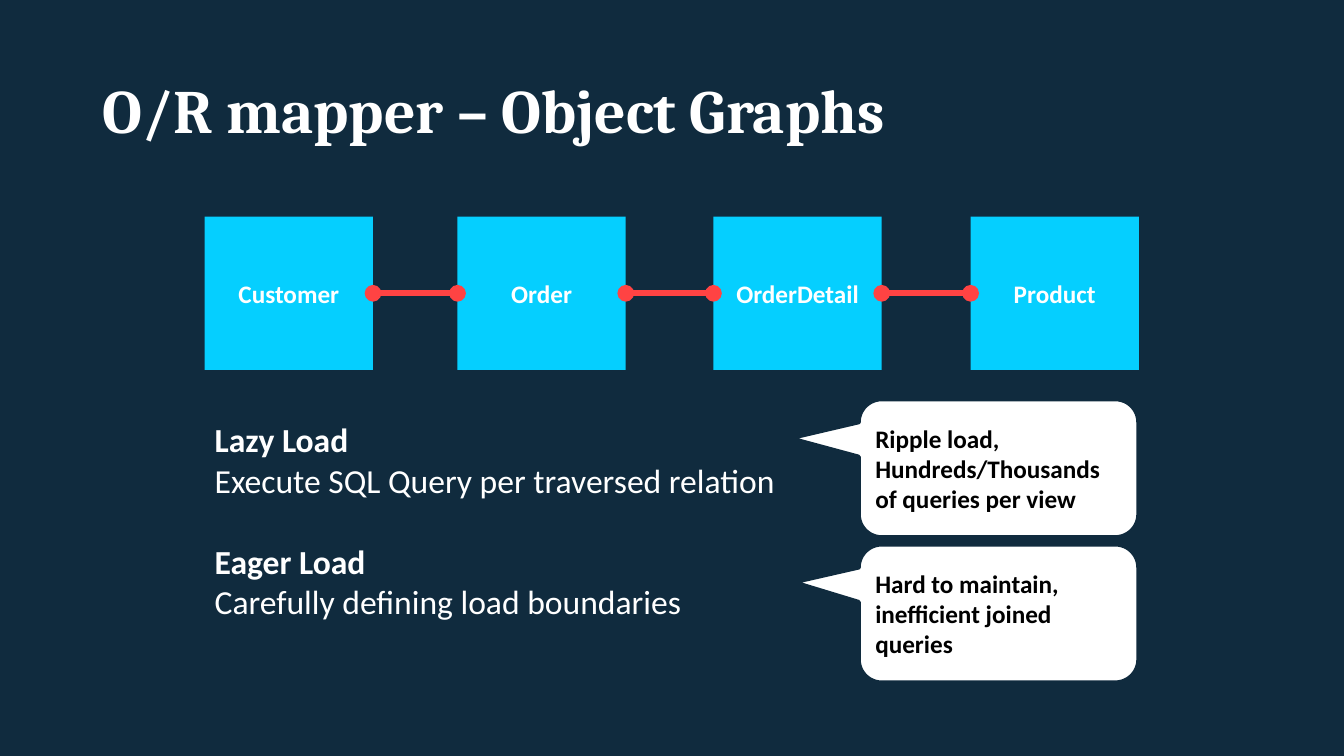
import pptx
import pptx.util
import pptx.dml.color
import pptx.enum.shapes
import pptx.enum.text
import pptx.oxml.ns
import lxml.etree

Cm = pptx.util.Cm
Pt = pptx.util.Pt
Shape = pptx.enum.shapes.MSO_SHAPE
Anchor = pptx.enum.text.MSO_ANCHOR
Align = pptx.enum.text.PP_ALIGN

HUES = {"navy": "102B3E", "cyan": "05CFFF", "red": "FF4343", "white": "FFFFFF", "black": "000000"}
TITLE = "O/R mapper – Object Graphs"
NODES = [("Customer", 5.16), ("Order", 11.53), ("OrderDetail", 17.98), ("Product", 24.46)]
LOADS = [
    ("Lazy Load", "Execute SQL Query per traversed relation"),
    ("Eager Load", "Carefully defining load boundaries"),
]
NOTES = [
    (["Ripple load,", "Hundreds/Thousands of queries per view"], (-0.745, -0.217, 0.167)),
    (["Hard to maintain, inefficient joined queries"], (-0.732, -0.226, 0.167)),
]
NODE_TOP, NODE_W, NODE_H = 5.46, 4.24, 3.86
NOTE_LEFT, NOTE_TOP, NOTE_W, NOTE_H, NOTE_STEP = 21.64, 10.06, 7.05, 3.48, 3.66


def hue(name):
    return pptx.dml.color.RGBColor.from_string(HUES[name])


def write(frame, lines, size, color="white", font="Calibri", align=Align.LEFT):
    for i, (text, bold) in enumerate(lines):
        para = frame.paragraphs[0] if i == 0 else frame.add_paragraph()
        para.alignment = align
        run = para.add_run()
        run.text = text
        run.font.name = font
        run.font.size = Pt(size)
        run.font.bold = bold
        run.font.color.rgb = hue(color)


def add_text(slide, left, top, width, height, wrap=True):
    frame = slide.shapes.add_textbox(Cm(left), Cm(top), Cm(width), Cm(height)).text_frame
    frame.word_wrap = wrap
    return frame


def add_box(slide, kind, left, top, width, height, fill):
    box = slide.shapes.add_shape(kind, Cm(left), Cm(top), Cm(width), Cm(height))
    box.shadow.inherit = False
    box.fill.solid()
    box.fill.fore_color.rgb = hue(fill)
    box.line.fill.background()
    box.text_frame.word_wrap = True
    box.text_frame.vertical_anchor = Anchor.MIDDLE
    return box


def add_link(slide, start, end, level):
    link = slide.shapes.add_connector(
        pptx.enum.shapes.MSO_CONNECTOR.STRAIGHT, Cm(start), Cm(level), Cm(end), Cm(level))
    link.line.color.rgb = hue("red")
    link.line.width = Pt(4)
    props = link._element.spPr
    stroke = props.find(pptx.oxml.ns.qn("a:ln"))
    for tag in ("a:headEnd", "a:tailEnd"):
        lxml.etree.SubElement(stroke, pptx.oxml.ns.qn(tag), type="oval")
    lxml.etree.SubElement(props, pptx.oxml.ns.qn("a:effectLst"))


def main():
    deck = pptx.Presentation()
    deck.slide_width, deck.slide_height = Cm(33.87), Cm(19.05)
    slide = deck.slides.add_slide(deck.slide_layouts[6])
    slide.background.fill.solid()
    slide.background.fill.fore_color.rgb = hue("navy")

    title = add_text(slide, 2.33, 1.01, 29.21, 3.68)
    title.vertical_anchor = Anchor.MIDDLE
    write(title, [(TITLE, True)], 44, font="Cambria")
    title.paragraphs[0].line_spacing = 0.9

    for name, left in NODES:
        node = add_box(slide, Shape.RECTANGLE, left, NODE_TOP, NODE_W, NODE_H, "cyan")
        write(node.text_frame, [(name, True)], 18, align=Align.CENTER)
    for (_, left), (_, right) in zip(NODES, NODES[1:]):
        add_link(slide, left + NODE_W, right, NODE_TOP + NODE_H / 2)

    loads = add_text(slide, 5.16, 10.44, 14.78, 5.38, wrap=False)
    write(loads, [(text, i == 0) for pair in LOADS for i, text in enumerate(pair)], 24)
    loads.paragraphs[2].space_before = Pt(29.3)

    for i, (lines, bends) in enumerate(NOTES):
        note = add_box(slide, Shape.ROUNDED_RECTANGULAR_CALLOUT, NOTE_LEFT,
                       NOTE_TOP + i * NOTE_STEP, NOTE_W, NOTE_H, "white")
        note.line.color.rgb = hue("navy")
        note.line.width = Pt(3)
        for j, bend in enumerate(bends):
            note.adjustments[j] = bend
        write(note.text_frame, [(line, True) for line in lines], 18, "black")

    deck.save("out.pptx")


if __name__ == "__main__":
    main()
